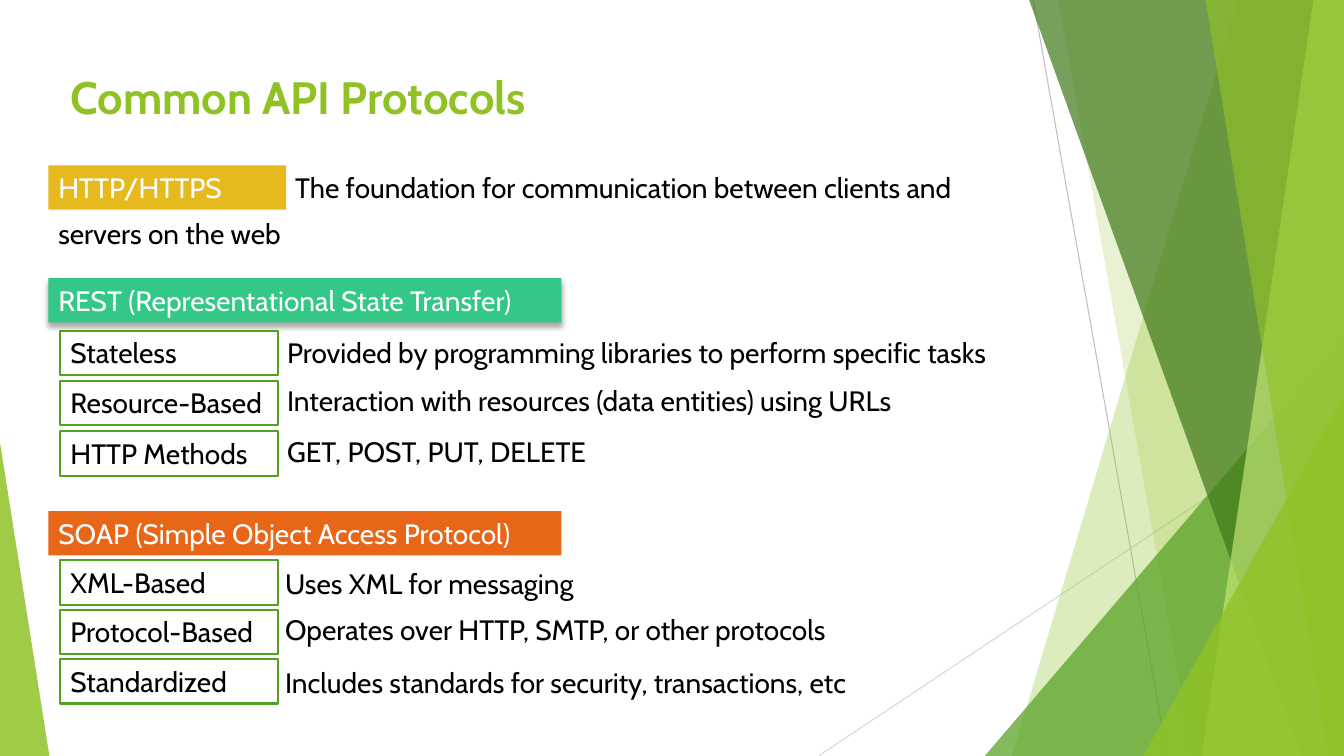
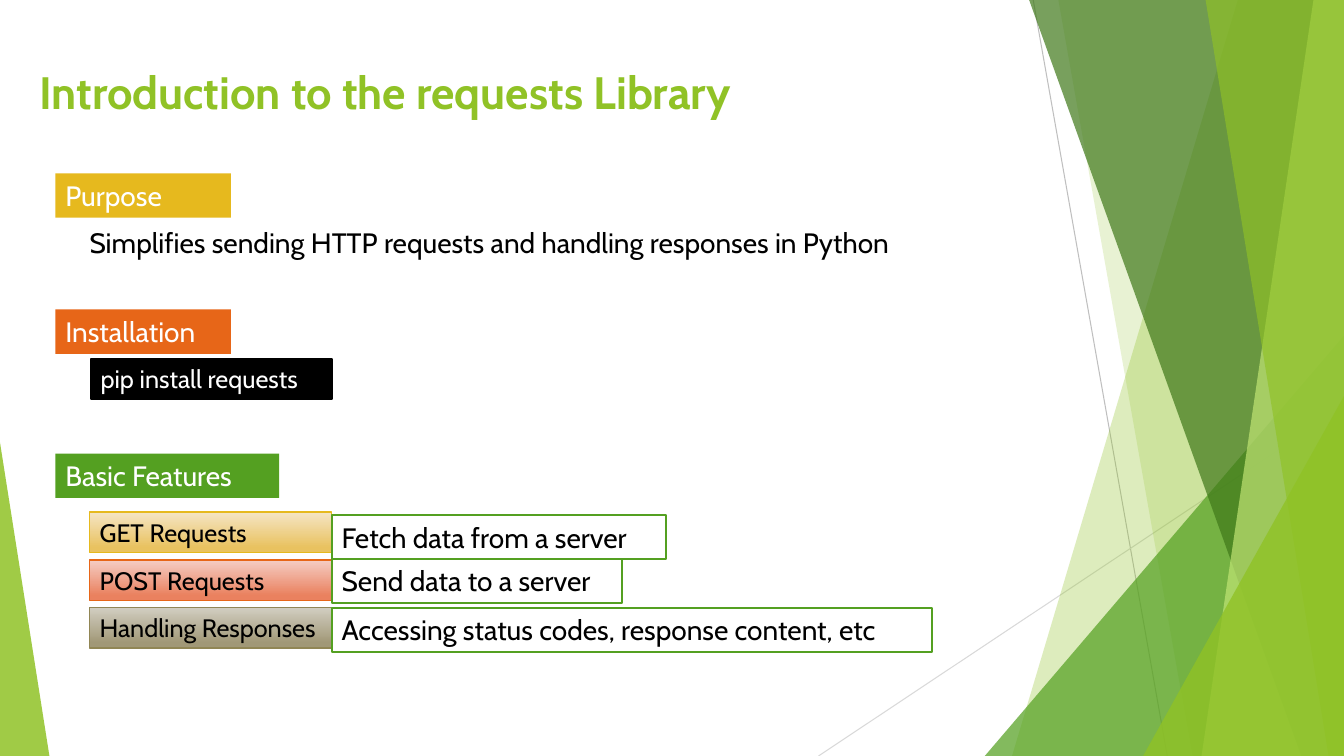
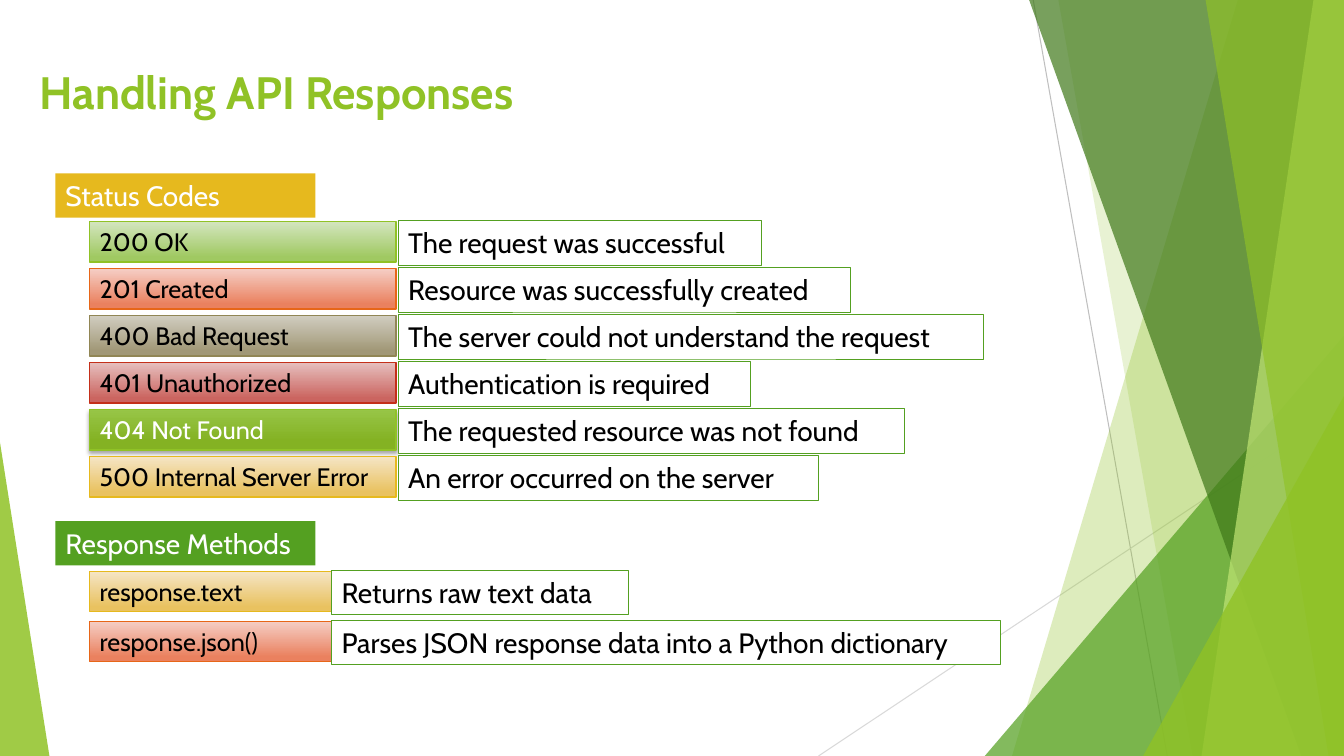
"""Build three slides about web APIs on a shared green faceted backdrop."""

from dataclasses import dataclass
from typing import Any, Optional

from lxml import etree
import pptx
import pptx.dml.color
import pptx.enum.shapes
import pptx.enum.text
import pptx.oxml.ns
import pptx.util

CELL = 0.1
COLUMNS = 133.33
ROWS = 75


@dataclass(frozen=True)
class Theme:
    font: str = "Cabin"
    title_size: float = 32.4
    body_size: float = 20
    label_size: float = 18
    white: str = "FFFFFF"
    black: str = "000000"
    lime: str = "90C226"
    pale_lime: str = "C0E474"
    green: str = "54A021"
    dark_green: str = "3F7819"
    gold: str = "E6B91E"
    orange: str = "E76618"
    mint: str = "33C888"
    olive: str = "918655"
    red: str = "C42F1A"
    grey: str = "BFBFBF"
    light_grey: str = "D9D9D9"


THEME = Theme()


@dataclass(frozen=True)
class Shadow:
    blur: float
    distance: float
    opacity: int = 35


@dataclass(frozen=True)
class Look:
    fill: Optional[str] = None
    fade: Optional[tuple[str, str]] = None
    fade_end: float = 0.88
    line: Optional[str] = None
    line_width: float = 1
    ink: str = THEME.black
    size: float = THEME.body_size
    height: float = 4.4
    shadow: Optional[Shadow] = None


def banner(fill: str, shadow: Optional[Shadow] = None) -> Look:
    """Return the look of a section heading."""
    return Look(fill=fill, ink=THEME.white, shadow=shadow)


def faded(line: str, start: str, end: str, **changes: Any) -> Look:
    """Return the look of a label with a vertical gradient."""
    return Look(fade=(start, end), line=line, size=THEME.label_size, height=4, **changes)


def outlined(line_width: float) -> Look:
    """Return the look of a white box with a green outline."""
    return Look(fill=THEME.white, line=THEME.green, line_width=line_width)


PLAIN = Look()
FRAMED = outlined(1.5)
THIN = outlined(0.5)
COMMAND = Look(fill=THEME.black, line=THEME.black, line_width=1.5, ink=THEME.white,
               size=THEME.label_size, height=4)
GOLD = faded(THEME.gold, "F5E5C5", "E9C260")
ORANGE = faded(THEME.orange, "F5CEC5", "EA815F")
OLIVE = faded(THEME.olive, "D1CDC0", "A19877")
LIME = faded(THEME.lime, "D3E5BE", "A0C962")
RED = faded(THEME.red, "E6BFBE", "CB6560")
STRONG = faded(THEME.lime, "97C547", "84B223", fade_end=0.78, ink=THEME.white,
               shadow=Shadow(3, 2))


@dataclass(frozen=True)
class Tile:
    text: str
    left: float
    top: float
    width: float
    look: Look = PLAIN


@dataclass(frozen=True)
class Row:
    label: str
    note: str
    note_width: float
    look: Look = FRAMED
    note_drop: float = -0.1


@dataclass(frozen=True)
class Listing:
    left: float
    top: float
    pitch: float
    label_width: float
    note_left: float
    note_look: Look
    rows: tuple[Row, ...]


@dataclass(frozen=True)
class Content:
    title: str
    title_left: float
    title_top: float
    title_width: float
    tiles: tuple[Tile, ...]
    listings: tuple[Listing, ...]


@dataclass(frozen=True)
class Ray:
    start: tuple[float, float]
    end: tuple[float, float]
    color: str


@dataclass(frozen=True)
class Facet:
    """A full-height panel from a slanted edge to the right of the slide."""
    top_column: float
    bottom_column: float
    color: str
    opacity: int


@dataclass(frozen=True)
class Wedge:
    """A triangle standing on the bottom of the slide."""
    left: float
    top: float
    width: float
    apex: float
    color: str
    opacity: int


BACKDROP = (
    Ray((102.5, 0), (115.8, ROWS), THEME.grey),
    Ray((COLUMNS, 40.3), (81.2, ROWS), THEME.light_grey),
    Facet(122.8, 100.4, THEME.lime, 30),
    Facet(105, 118.3, THEME.lime, 20),
    Wedge(97.7, 33.3, COLUMNS - 97.7, 1, THEME.green, 72),
    Facet(102.1, 129.1, THEME.dark_green, 70),
    Facet(130.3, 119.2, THEME.pale_lime, 70),
    Facet(119.6, 131.8, THEME.lime, 65),
    Wedge(113.4, 39.3, COLUMNS - 113.4, 1, THEME.lime, 80),
    Wedge(0, 43.9, 4.9, 0, THEME.lime, 85),
)

CONTENTS = (
    Content(
        "Common API Protocols", 6, 6.4, 48.7,
        (
            Tile("HTTP/HTTPS", 4.8, 16.4, 23.6, banner(THEME.gold)),
            Tile("The foundation for communication between clients and", 28.3, 16.4, 79),
            Tile("servers on the web", 4.8, 21, 26.3),
            Tile("REST (Representational State Transfer)", 4.8, 27.6, 50.9,
                 banner(THEME.mint, Shadow(4, 3))),
            Tile("SOAP (Simple Object Access Protocol)", 4.8, 50.7, 50.9, banner(THEME.orange)),
        ),
        (
            Listing(6, 32.8, 5, 21.6, 27.5, PLAIN, (
                Row("Stateless", "Provided by programming libraries to perform specific tasks",
                    77.7, note_drop=0),
                Row("Resource-Based", "Interaction with resources (data entities) using URLs",
                    67.6, note_drop=-0.2),
                Row("HTTP Methods", "GET, POST, PUT, DELETE", 32, note_drop=-0.2),
            )),
            Listing(6, 55.6, 4.9, 21.6, 27.3, PLAIN, (
                Row("XML-Based", "Uses XML for messaging", 32.3, note_drop=0.1),
                Row("Protocol-Based", "Operates over HTTP, SMTP, or other protocols",
                    58.9, note_drop=-0.2),
                Row("Standardized", "Includes standards for security, transactions, etc",
                    63.1, note_drop=0.1),
            )),
        ),
    ),
    Content(
        "Introduction to the requests Library", 2.9, 5.9, 77.5,
        (
            Tile("Purpose", 5.5, 17.2, 17.4, banner(THEME.gold)),
            Tile("Simplifies sending HTTP requests and handling responses in Python",
                 7.9, 21.9, 85.7),
            Tile("Installation", 5.5, 30.7, 17.4, banner(THEME.orange)),
            Tile("pip install requests", 9, 35.6, 23.9, COMMAND),
            Tile("Basic Features", 5.5, 45, 22.2, banner(THEME.green)),
        ),
        (
            Listing(8.9, 50.8, 4.75, 24, 32.9, FRAMED, (
                Row("GET Requests", "Fetch data from a server", 33.2, GOLD, 0.3),
                Row("POST Requests", "Send data to a server", 28.8, ORANGE),
                Row("Handling Responses", "Accessing status codes, response content, etc",
                    59.6, OLIVE, 0),
            )),
        ),
    ),
    Content(
        "Handling API Responses", 2.9, 5.9, 51.5,
        (
            Tile("Status Codes", 5.5, 17.2, 25.8, banner(THEME.gold)),
            Tile("Response Methods", 5.5, 51.7, 25.8, banner(THEME.green)),
        ),
        (
            Listing(8.9, 22, 4.66, 30.4, 39.5, THIN, (
                Row("200 OK", "The request was successful", 36, LIME),
                Row("201 Created", "Resource was successfully created", 44.9, ORANGE),
                Row("400 Bad Request", "The server could not understand the request", 58.1, OLIVE),
                Row("401 Unauthorized", "Authentication is required", 34.9, RED),
                Row("404 Not Found", "The requested resource was not found", 50.2, STRONG),
                Row("500 Internal Server Error", "An error occurred on the server", 41.7, GOLD),
            )),
            Listing(8.9, 56.7, 4.95, 24, 32.9, THIN, (
                Row("response.text", "Returns raw text data", 29.4, GOLD),
                Row("response.json()", "Parses JSON response data into a Python dictionary",
                    66.3, ORANGE),
            )),
        ),
    ),
)


def cells(*counts: float) -> list[pptx.util.Length]:
    """Convert grid counts to lengths."""
    return [pptx.util.Inches(count * CELL) for count in counts]


def rgb(code: str) -> pptx.dml.color.RGBColor:
    """Convert a hex code to a colour."""
    return pptx.dml.color.RGBColor.from_string(code)


def add_child(parent: Any, tag: str, **attributes: Any) -> Any:
    """Append a drawing element with the given attributes."""
    texts = {name: str(value) for name, value in attributes.items()}
    return etree.SubElement(parent, pptx.oxml.ns.qn(tag), texts)


def write_text(shape: Any, text: str, *, size: float, color: str, bold: bool = False) -> None:
    """Put one left-aligned paragraph in a shape."""
    frame = shape.text_frame
    frame.word_wrap = True
    frame.auto_size = pptx.enum.text.MSO_AUTO_SIZE.NONE
    frame.vertical_anchor = pptx.enum.text.MSO_ANCHOR.TOP
    para = frame.paragraphs[0]
    para.alignment = pptx.enum.text.PP_ALIGN.LEFT
    span = para.add_run()
    span.text = text
    span.font.name = THEME.font
    span.font.size = pptx.util.Pt(size)
    span.font.bold = bold
    span.font.color.rgb = rgb(color)


def cast_shadow(shape: Any, shadow: Shadow) -> None:
    """Give a shape a black shadow straight below it."""
    effects = shape.element.spPr.find(pptx.oxml.ns.qn("a:effectLst"))
    outer = add_child(effects, "a:outerShdw", blurRad=pptx.util.Pt(shadow.blur),
                      dist=pptx.util.Pt(shadow.distance), dir=90 * 60000, rotWithShape=0)
    color = add_child(outer, "a:srgbClr", val=THEME.black)
    add_child(color, "a:alpha", val=shadow.opacity * 1000)


def style_box(box: Any, look: Look) -> None:
    """Apply the fill, outline and shadow of a look."""
    box.shadow.inherit = False
    if look.fade:
        box.fill.gradient()
        box.fill.gradient_angle = 270
        for stop, color, position in zip(box.fill.gradient_stops, look.fade, (0, look.fade_end)):
            stop.color.rgb = rgb(color)
            stop.position = position
    else:
        box.fill.solid()
        box.fill.fore_color.rgb = rgb(look.fill)
    if look.line:
        box.line.color.rgb = rgb(look.line)
        box.line.width = pptx.util.Pt(look.line_width)
    else:
        box.line.fill.background()
    if look.shadow:
        cast_shadow(box, look.shadow)


def draw_tile(page: Any, tile: Tile) -> None:
    """Draw a text box, or a rectangle when the look has a fill."""
    look = tile.look
    bounds = cells(tile.left, tile.top, tile.width, look.height)
    if look.fill or look.fade:
        box = page.shapes.add_shape(pptx.enum.shapes.MSO_SHAPE.RECTANGLE, *bounds)
        style_box(box, look)
    else:
        box = page.shapes.add_textbox(*bounds)
    write_text(box, tile.text, size=look.size, color=look.ink)


def draw_listing(page: Any, listing: Listing) -> None:
    """Draw evenly spaced labels with a note beside each."""
    for index, row in enumerate(listing.rows):
        top = listing.top + index * listing.pitch
        draw_tile(page, Tile(row.label, listing.left, top, listing.label_width, row.look))
        draw_tile(page, Tile(row.note, listing.note_left, top + row.note_drop,
                             row.note_width, listing.note_look))


def tint(shape: Any, color: str, opacity: int) -> None:
    """Fill a shape with a translucent colour and no outline."""
    style_box(shape, Look(fill=color))
    code = shape.element.spPr.find(".//" + pptx.oxml.ns.qn("a:srgbClr"))
    add_child(code, "a:alpha", val=opacity * 1000)


def draw_ray(shapes: Any, ray: Ray) -> None:
    """Draw a thin straight line."""
    line = shapes.add_connector(pptx.enum.shapes.MSO_CONNECTOR.STRAIGHT,
                                *cells(*ray.start, *ray.end))
    line.line.color.rgb = rgb(ray.color)
    line.line.width = pptx.util.Pt(0.75)
    add_child(line.element.spPr, "a:effectLst")


def draw_facet(shapes: Any, facet: Facet) -> None:
    """Draw a translucent panel with a slanted left edge."""
    builder = shapes.build_freeform(*cells(facet.top_column, 0))
    corners = ((COLUMNS, 0), (COLUMNS, ROWS), (facet.bottom_column, ROWS))
    builder.add_line_segments([cells(*corner) for corner in corners], close=True)
    tint(builder.convert_to_shape(), facet.color, facet.opacity)


def draw_wedge(shapes: Any, wedge: Wedge) -> None:
    """Draw a translucent triangle."""
    triangle = shapes.add_shape(pptx.enum.shapes.MSO_SHAPE.ISOSCELES_TRIANGLE,
                                *cells(wedge.left, wedge.top, wedge.width, ROWS - wedge.top))
    triangle.adjustments[0] = wedge.apex
    tint(triangle, wedge.color, wedge.opacity)


def share_backdrop(page: Any) -> None:
    """Build the backdrop as a group and hand it to the page's layout."""
    layout = page.slide_layout
    for holder in list(layout.placeholders):
        if holder.placeholder_format.type != pptx.enum.shapes.PP_PLACEHOLDER.TITLE:
            holder.element.getparent().remove(holder.element)
    group = page.shapes.add_group_shape()
    painters = {Ray: draw_ray, Facet: draw_facet, Wedge: draw_wedge}
    for piece in BACKDROP:
        painters[type(piece)](group.shapes, piece)
    layout.shapes.element.append(group.element)


def draw_page(page: Any, content: Content) -> None:
    """Fill a page with its title, tiles and listings."""
    title = page.shapes.title
    title.left, title.top, title.width, title.height = cells(
        content.title_left, content.title_top, content.title_width, 5.9)
    write_text(title, content.title, size=THEME.title_size, color=THEME.lime, bold=True)
    for tile in content.tiles:
        draw_tile(page, tile)
    for listing in content.listings:
        draw_listing(page, listing)


def main() -> None:
    """Build and save the deck."""
    deck = pptx.Presentation()
    deck.slide_width, deck.slide_height = cells(COLUMNS, ROWS)
    layout = deck.slide_layouts[5]
    pages = [deck.slides.add_slide(layout) for _ in CONTENTS]
    share_backdrop(pages[0])
    for page, content in zip(pages, CONTENTS):
        draw_page(page, content)
    deck.save("out.pptx")


if __name__ == "__main__":
    main()
